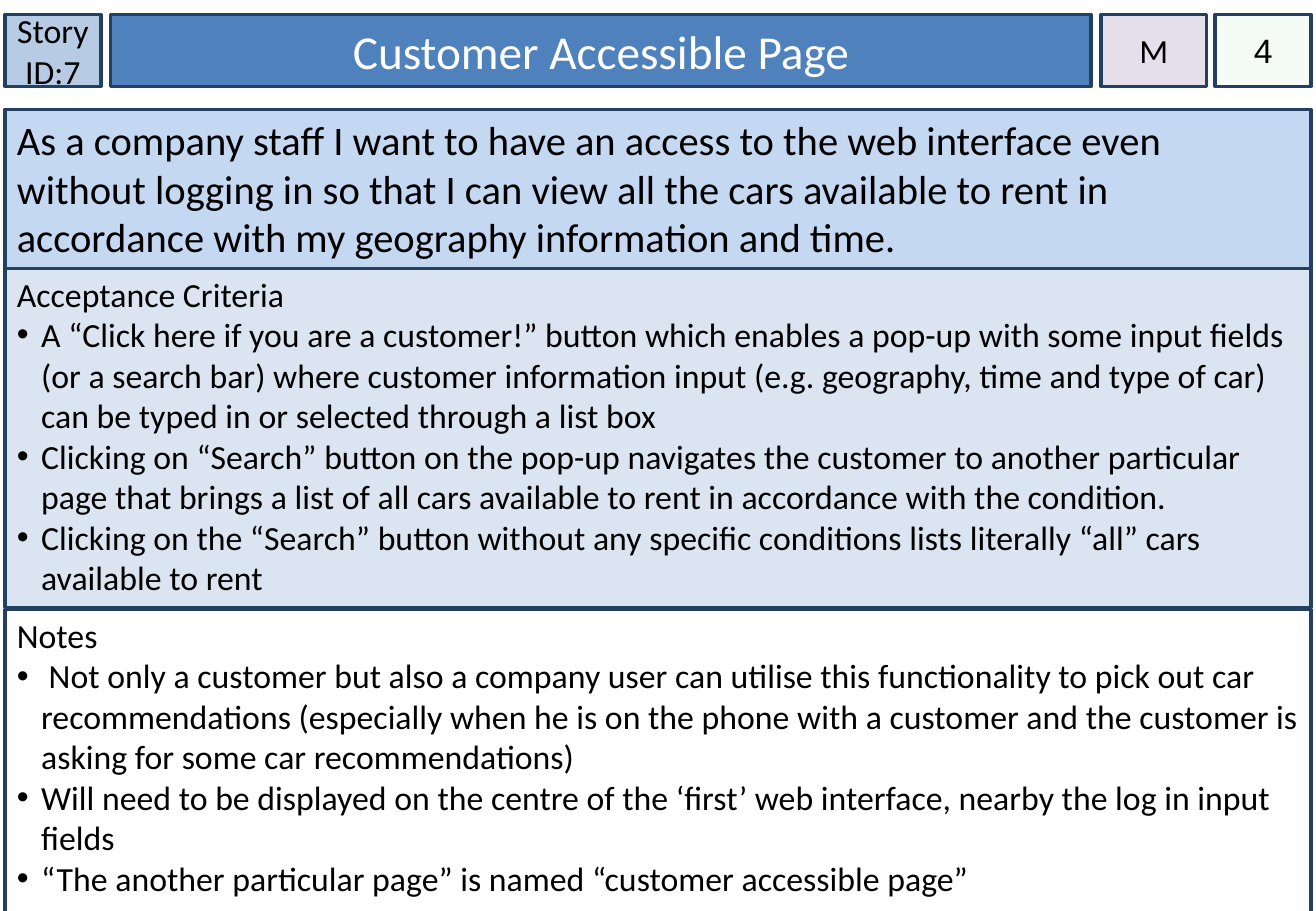
from dataclasses import dataclass

from lxml.etree import SubElement
from pptx import Presentation
from pptx.dml.color import RGBColor
from pptx.enum.shapes import MSO_SHAPE
from pptx.enum.text import MSO_ANCHOR as Anchor, MSO_AUTO_SIZE, PP_ALIGN as Align
from pptx.oxml.ns import qn
from pptx.util import Emu, Pt

EMU_PER_PX = 9144  # 100 px to the inch


@dataclass(frozen=True)
class Theme:
    border: str = "244061"
    text: str = "000000"
    title_text: str = "FFFFFF"
    title_fill: str = "4F81BD"
    id_fill: str = "B7CCE4"
    size_fill: str = "E5DFEC"
    points_fill: str = "CCF0CD"
    story_fill: str = "C5D8F1"
    criteria_fill: str = "DAE5F1"
    remarks_fill: str = "FFFFFF"
    font: str = "Calibri"
    points_font: str = "Arial"
    title_pt: int = 28
    story_pt: int = 24
    body_pt: int = 20
    border_pt: int = 2


THEME = Theme()
HEADER_TOP, HEADER_HEIGHT = 12, 59
PANEL_LEFT, PANEL_WIDTH = 4, 1075
BULLET_INDENT = 20


@dataclass(frozen=True)
class HeaderCell:
    left: int
    width: int
    text: str
    fill: str
    font: str = THEME.font
    opacity: int = 100


@dataclass(frozen=True)
class Panel:
    top: int
    height: int
    fill: str
    text: str
    bullets: tuple[str, ...] = ()
    pt: int = THEME.body_pt
    inset_top: int = 4


HEADER_CELLS = (
    HeaderCell(4, 79, "Story ID:7", THEME.id_fill),
    HeaderCell(906, 87, "M", THEME.size_fill),
    HeaderCell(1000, 79, "4", THEME.points_fill, THEME.points_font, opacity=20),
)

PANELS = (
    Panel(90, 131, THEME.story_fill,
          "As a company staff I want to have an access to the web interface even "
          "without logging in so that I can view all the cars available to rent in "
          "accordance with my geography information and time.",
          pt=THEME.story_pt, inset_top=5),
    Panel(221, 279, THEME.criteria_fill, "Acceptance Criteria", (
        "A “Click here if you are a customer!” button which enables a pop-up with "
        "some input fields (or a search bar) where customer information input (e.g. "
        "geography, time and type of car) can be typed in or selected through a "
        "list box",
        "Clicking on “Search” button on the pop-up navigates the customer to another "
        "particular page that brings a list of all cars available to rent in "
        "accordance with the condition.",
        "Clicking on the “Search” button without any specific conditions lists "
        "literally “all” cars available to rent",
    )),
    Panel(502, 255, THEME.remarks_fill, "Notes", (
        " Not only a customer but also a company user can utilise this functionality "
        "to pick out car recommendations (especially when he is on the phone with a "
        "customer and the customer is asking for some car recommendations)",
        "Will need to be displayed on the centre of the ‘first’ web interface, nearby "
        "the log in input fields",
        "“The another particular page” is named “customer accessible page”",
    )),
)


def px(n: int) -> Emu:
    return Emu(n * EMU_PER_PX)


def place(sp, left: int, top: int, width: int, height: int) -> None:
    sp.left, sp.top, sp.width, sp.height = map(px, (left, top, width, height))


def style_box(sp, fill: str, anchor, inset_x: int, inset_top: int = 5) -> None:
    """Give the box its fill, border and text frame settings."""
    sp.shadow.inherit = False
    sp.fill.solid()
    sp.fill.fore_color.rgb = RGBColor.from_string(fill)
    sp.line.color.rgb = RGBColor.from_string(THEME.border)
    sp.line.width = Pt(THEME.border_pt)
    tf = sp.text_frame
    tf.word_wrap = True
    tf.auto_size = MSO_AUTO_SIZE.NONE
    tf.vertical_anchor = anchor
    tf.margin_left = tf.margin_right = px(inset_x)
    tf.margin_top, tf.margin_bottom = px(inset_top), px(5)


def write(p, text: str, pt: int, align, color: str = THEME.text,
          font: str = THEME.font) -> None:
    p.alignment = align
    r = p.add_run()
    r.text = text
    r.font.name = font
    r.font.size = Pt(pt)
    r.font.color.rgb = RGBColor.from_string(color)


def add_bullet(p) -> None:
    pPr = p._p.get_or_add_pPr()
    pPr.set("marL", str(px(BULLET_INDENT)))
    pPr.set("indent", str(-px(BULLET_INDENT)))
    SubElement(SubElement(pPr, qn("a:buClr")), qn("a:srgbClr"), val=THEME.text)
    SubElement(pPr, qn("a:buFont"), typeface="Arial")
    SubElement(pPr, qn("a:buChar"), char="•")


def set_opacity(sp, percent: int) -> None:
    color = sp._element.spPr.find(qn("a:solidFill")).find(qn("a:srgbClr"))
    SubElement(color, qn("a:alpha"), val=str(percent * 1000))


def add_title(slide, text: str) -> None:
    sp = slide.shapes.title
    place(sp, 91, HEADER_TOP, 807, HEADER_HEIGHT)
    style_box(sp, THEME.title_fill, Anchor.MIDDLE, 10)
    write(sp.text_frame.paragraphs[0], text, THEME.title_pt, Align.CENTER,
          THEME.title_text)


def add_rect(slide, left: int, top: int, width: int, height: int):
    return slide.shapes.add_shape(
        MSO_SHAPE.RECTANGLE, *map(px, (left, top, width, height)))


def add_header_cell(slide, cell: HeaderCell) -> None:
    sp = add_rect(slide, cell.left, HEADER_TOP, cell.width, HEADER_HEIGHT)
    style_box(sp, cell.fill, Anchor.MIDDLE, 0)
    if cell.opacity < 100:
        set_opacity(sp, cell.opacity)
    write(sp.text_frame.paragraphs[0], cell.text, THEME.body_pt, Align.CENTER,
          font=cell.font)


def add_panel(slide, panel: Panel) -> None:
    sp = add_rect(slide, PANEL_LEFT, panel.top, PANEL_WIDTH, panel.height)
    style_box(sp, panel.fill, Anchor.TOP, 10, panel.inset_top)
    tf = sp.text_frame
    write(tf.paragraphs[0], panel.text, panel.pt, Align.LEFT)
    for bullet in panel.bullets:
        p = tf.add_paragraph()
        add_bullet(p)
        write(p, bullet, panel.pt, Align.LEFT)


def main() -> None:
    prs = Presentation()
    prs.slide_width, prs.slide_height = px(1083), px(750)
    slide = prs.slides.add_slide(prs.slide_layouts.get_by_name("Title Only"))
    add_title(slide, "Customer Accessible Page")
    for cell in HEADER_CELLS:
        add_header_cell(slide, cell)
    for panel in PANELS:
        add_panel(slide, panel)
    prs.save("out.pptx")


if __name__ == "__main__":
    main()
